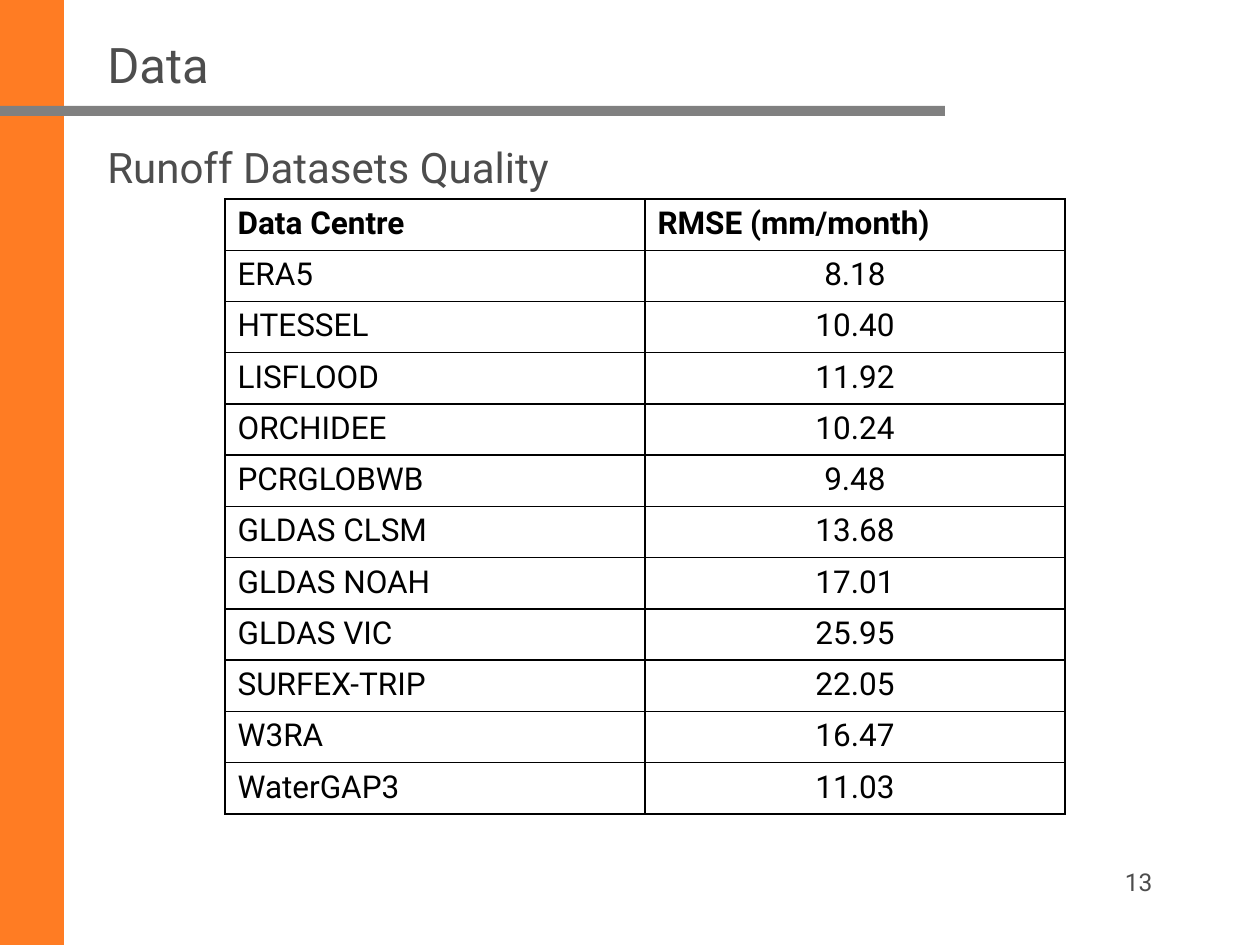
from lxml import etree
from pptx import Presentation
from pptx.dml.color import RGBColor
from pptx.enum.shapes import MSO_SHAPE
from pptx.enum.text import MSO_ANCHOR, PP_ALIGN
from pptx.oxml.ns import qn
from pptx.util import Emu, Pt

RECTANGLE = MSO_SHAPE.RECTANGLE
TOP, MIDDLE = MSO_ANCHOR.TOP, MSO_ANCHOR.MIDDLE
LEFT, CENTER, RIGHT = PP_ALIGN.LEFT, PP_ALIGN.CENTER, PP_ALIGN.RIGHT

FONT = "Roboto"
COLORS = {
    "orange": "FF7C23",
    "rule": "808080",
    "text": "4D4D4D",
    "black": "000000",
    "white": "FFFFFF",
}

BANDS = [
    ((0, 0, 64, 945), "orange"),
    ((0, 106, 945, 10), "rule"),
]
TEXTS = [
    ("Data", (95, 32, 1071, 63), 28, LEFT, MIDDLE),
    ("Runoff Datasets Quality", (95, 135, 1101, 741), 24, LEFT, TOP),
    ("13", (903, 861, 262, 63), 14, RIGHT, TOP),
]
HEADER = ("Data Centre", "RMSE (mm/month)")
RUNOFF_ERRORS = [
    ("ERA5", "8.18"),
    ("HTESSEL", "10.40"),
    ("LISFLOOD", "11.92"),
    ("ORCHIDEE", "10.24"),
    ("PCRGLOBWB", "9.48"),
    ("GLDAS CLSM", "13.68"),
    ("GLDAS NOAH", "17.01"),
    ("GLDAS VIC", "25.95"),
    ("SURFEX-TRIP", "22.05"),
    ("W3RA", "16.47"),
    ("WaterGAP3", "11.03"),
]
TABLE_AREA = (225, 199, 840, 615)


def px(value):
    return Emu(round(value * 914400 / 126))


def color(name):
    return RGBColor.from_string(COLORS[name])


def style(para, size, color_name, align, bold=False):
    para.alignment = align
    para.font.name = FONT
    para.font.size = Pt(size)
    para.font.bold = bold
    para.font.color.rgb = color(color_name)


def add_band(page, area, color_name):
    band = page.shapes.add_shape(RECTANGLE, *map(px, area))
    band.shadow.inherit = False
    band.fill.solid()
    band.fill.fore_color.rgb = color(color_name)
    band.line.fill.background()


def add_text(page, text, area, size, align, anchor):
    frame = page.shapes.add_textbox(*map(px, area)).text_frame
    frame.word_wrap = True
    frame.vertical_anchor = anchor
    frame.text = text
    style(frame.paragraphs[0], size, "text", align)


def add_borders(cell):
    properties = cell._tc.get_or_add_tcPr()
    for index, side in enumerate(("lnL", "lnR", "lnT", "lnB")):
        line = etree.Element(qn(f"a:{side}"), w=str(Pt(1)))
        fill = etree.SubElement(line, qn("a:solidFill"))
        etree.SubElement(fill, qn("a:srgbClr"), val=COLORS["black"])
        properties.insert(index, line)


def add_error_table(page):
    rows = [HEADER, *RUNOFF_ERRORS]
    table = page.shapes.add_table(len(rows), len(HEADER), *map(px, TABLE_AREA)).table
    for row_index, row in enumerate(rows):
        is_header = row_index == 0
        for column, text in enumerate(row):
            cell = table.cell(row_index, column)
            cell.text = text
            cell.fill.solid()
            cell.fill.fore_color.rgb = color("white")
            add_borders(cell)
            align = CENTER if column and not is_header else LEFT
            style(cell.text_frame.paragraphs[0], 18, "black", align, is_header)


def main():
    deck = Presentation()
    deck.slide_width, deck.slide_height = px(1260), px(945)
    page = deck.slides.add_slide(deck.slide_layouts[6])
    for band in BANDS:
        add_band(page, *band)
    for text in TEXTS:
        add_text(page, *text)
    add_error_table(page)
    deck.save("out.pptx")


if __name__ == "__main__":
    main()
